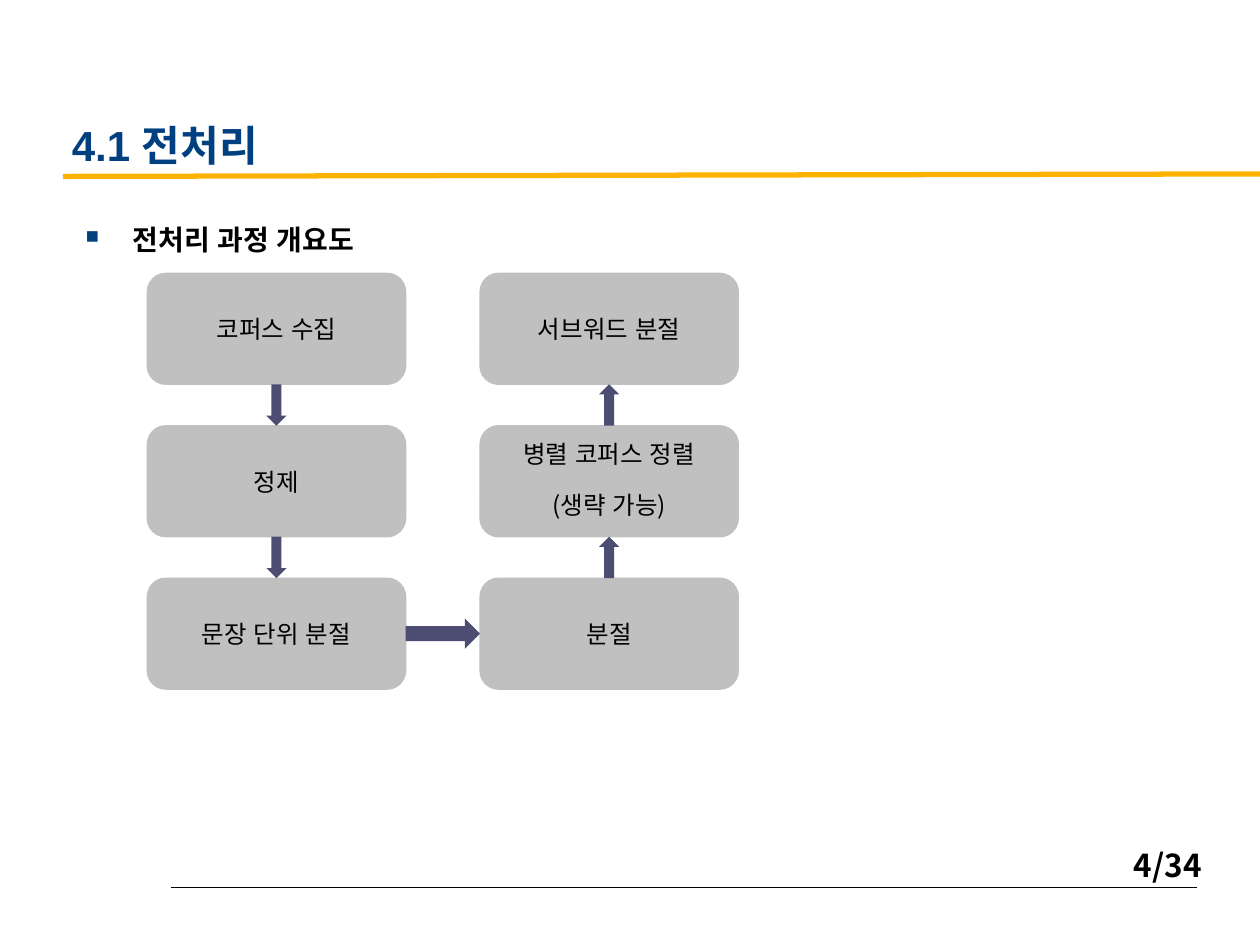
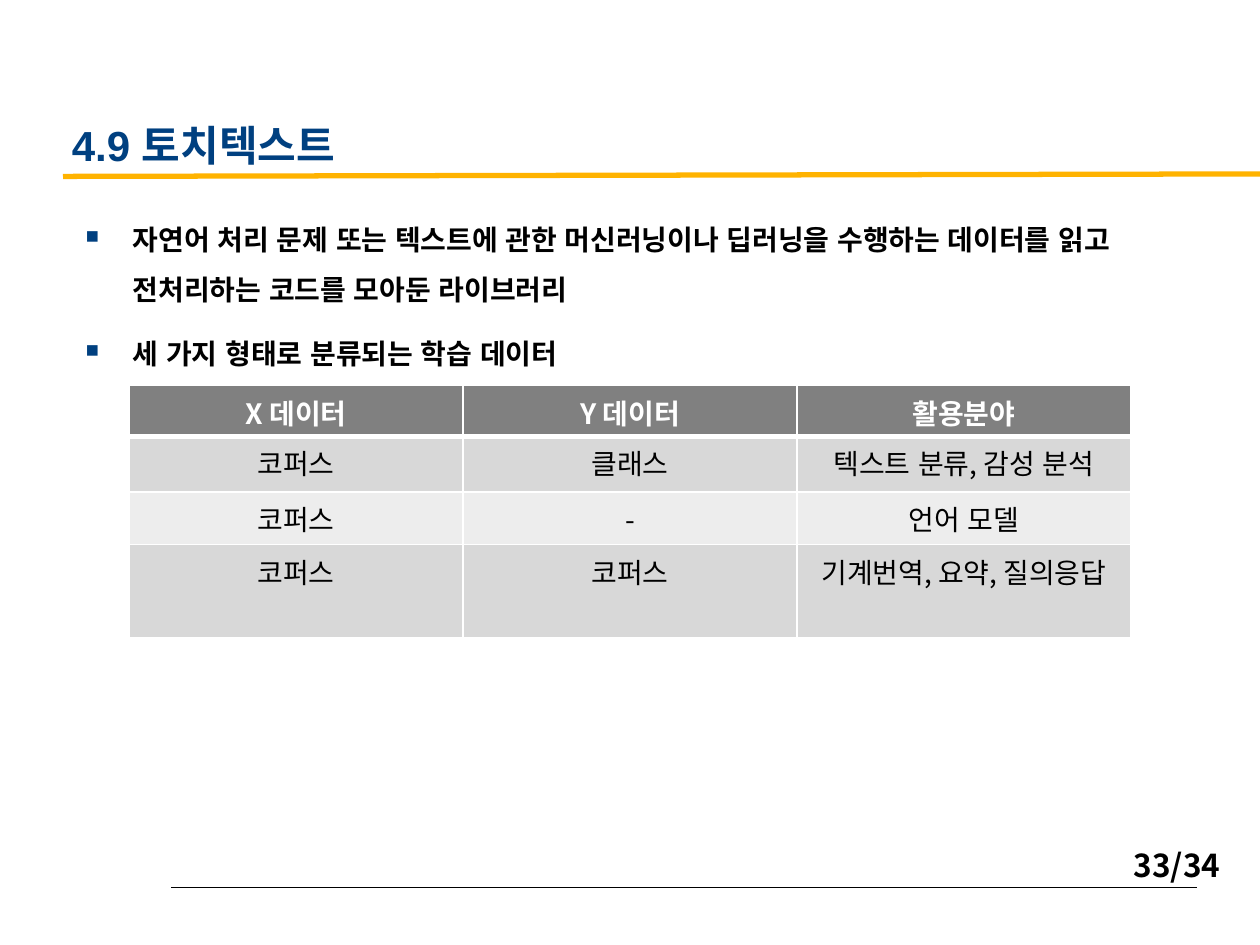
from itertools import pairwise

from pptx import Presentation
from pptx.dml.color import RGBColor
from pptx.enum import lang, shapes, text
from pptx.oxml import ns, xmlchemy
from pptx.util import Pt

COLORS = {
    "title": "004080", "rule": "FFB300", "ink": "000000", "white": "FFFFFF",
    "step": "C0C0C0", "arrow": "4D4D73",
    "head": "808080", "odd_row": "D8D8D8", "even_row": "EDEDED",
}
LATIN, KOREAN = "Arial", "Noto Sans CJK KR"
PAGE_COUNT = 34


def rgb(name):
    return RGBColor.from_string(COLORS[name])


def add_xml(parent, tag, **attributes):
    child = xmlchemy.OxmlElement(tag)
    for key, value in attributes.items():
        child.set(key, str(value))
    parent.append(child)
    return child


def add_span(para, words, size, color="ink", bold=False, font=KOREAN):
    span = para.add_run()
    span.text = words
    span.font.size, span.font.bold, span.font.name = Pt(size), bold, font
    span.font.color.rgb = rgb(color)
    span.font.language_id = lang.MSO_LANGUAGE_ID.KOREAN
    # Hangul takes its typeface from the East Asian slot
    latin = span.font._element.find(ns.qn("a:latin"))
    east = xmlchemy.OxmlElement("a:ea")
    east.set("typeface", KOREAN)
    latin.addnext(east)


def set_spacing(para, line=None, before=None, after=None):
    """Line spacing as a factor, paragraph gaps in percent of a line."""
    if line:
        para.line_spacing = line
    props = para._p.get_or_add_pPr()
    for tag, percent in (("a:spcBef", before), ("a:spcAft", after)):
        if percent:
            add_xml(add_xml(props, tag), "a:spcPct", val=percent * 1000)


def add_paras(frame, lines):
    """Yield one paragraph for each line, starting with the existing one."""
    for index, words in enumerate(lines):
        yield (frame.add_paragraph() if index else frame.paragraphs[0]), words


def add_rule(page, start, end, color, width):
    rule = page.shapes.add_connector(
        shapes.MSO_CONNECTOR.STRAIGHT, *(Pt(v) for v in (*start, *end)))
    rule.line.color.rgb, rule.line.width = rgb(color), Pt(width)
    add_xml(rule._element.spPr, "a:effectLst")


def add_text_box(page, box):
    frame = page.shapes.add_textbox(*(Pt(v) for v in box)).text_frame
    frame.word_wrap = True
    return frame


# Shared frame: title, gold rule, footer line and page number
def add_page(deck, title, number):
    page = deck.slides.add_slide(deck.slide_layouts[5])
    add_rule(page, (98, 507), (684, 507), "ink", 0.75)
    add_rule(page, (36, 100.8), (720, 99.4), "rule", 3)

    footer = add_text_box(page, (640.8, 480.2, 79.2, 28.8))
    add_span(footer.paragraphs[0], f"{number}/{PAGE_COUNT}", 18, bold=True)

    holder = page.shapes.title
    holder.left, holder.top, holder.width, holder.height = (
        Pt(v) for v in (33.84, 57.6, 592.56, 43.2))
    frame = holder.text_frame
    frame.vertical_anchor = text.MSO_ANCHOR.BOTTOM
    frame.auto_size = text.MSO_AUTO_SIZE.NONE
    frame.paragraphs[0].alignment = text.PP_ALIGN.LEFT
    add_span(frame.paragraphs[0], title, 24, "title", True, LATIN)
    return page


# Square-bulleted body text
def add_bullets(page, box, lines):
    for para, words in add_paras(add_text_box(page, box), lines):
        set_spacing(para, line=1.5, before=50)
        props = para._p.get_or_add_pPr()
        props.set("marL", str(Pt(27)))
        props.set("indent", str(Pt(-27)))
        add_xml(add_xml(props, "a:buClr"), "a:srgbClr", val=COLORS["title"])
        add_xml(props, "a:buSzPct", val=65000)
        add_xml(props, "a:buChar", char="■")
        add_span(para, words, 16, bold=True)


def add_step(page, box, lines):
    step = page.shapes.add_shape(
        shapes.MSO_SHAPE.ROUNDED_RECTANGLE, *(Pt(v) for v in box))
    step.shadow.inherit = False
    step.fill.solid()
    step.fill.fore_color.rgb = step.line.color.rgb = rgb("step")
    step.line.width = Pt(0.75)
    frame = step.text_frame
    frame.vertical_anchor = text.MSO_ANCHOR.MIDDLE
    for para, words in add_paras(frame, lines):
        para.alignment = text.PP_ALIGN.CENTER
        set_spacing(para, 0.9 if len(lines) > 1 else None, 50, 50)
        add_span(para, words, 14)


def add_arrow(page, kind, box):
    arrow = page.shapes.add_shape(kind, *(Pt(v) for v in box))
    arrow.shadow.inherit = False
    arrow.fill.solid()
    arrow.fill.fore_color.rgb = rgb("arrow")
    arrow.line.fill.background()


# Flow that runs down the first column and up the second
def add_flow(page, box, steps):
    left, top, width, height = box
    step_width, step_height, rows = 147.6, 63.4, len(steps) // 2
    column_pitch = width - step_width
    row_pitch = (height - step_height) / (rows - 1)
    column_gap, row_gap = column_pitch - step_width, row_pitch - step_height

    spots = [(0, row) for row in range(rows)]
    spots += [(1, row) for row in reversed(range(rows))]
    corners = [(left + column * column_pitch, top + row * row_pitch)
               for column, row in spots]
    for (x, y), lines in zip(corners, steps):
        add_step(page, (x, y, step_width, step_height), lines)

    thin, thick = 11.5, 17.3
    for (x, y), (next_x, next_y) in pairwise(corners):
        if next_x > x:
            add_arrow(page, shapes.MSO_SHAPE.RIGHT_ARROW,
                      (x + step_width, y + (step_height - thick) / 2, column_gap, thick))
        else:
            kind = shapes.MSO_SHAPE.DOWN_ARROW if next_y > y else shapes.MSO_SHAPE.UP_ARROW
            add_arrow(page, kind, (x + (step_width - thin) / 2,
                                   min(y, next_y) + step_height, thin, row_gap))


def set_borders(cell, widths):
    props = cell._tc.get_or_add_tcPr()
    for index, (side, width) in enumerate(widths.items()):
        edge = xmlchemy.OxmlElement(f"a:ln{side}")
        edge.set("w", str(Pt(width)))
        add_xml(add_xml(edge, "a:solidFill"), "a:srgbClr", val=COLORS["white"])
        props.insert(index, edge)


# Banded table with a dark head row
def add_data_table(page, box, heights, rows):
    table = page.shapes.add_table(
        len(rows), len(rows[0]), *(Pt(v) for v in box)).table
    for column in table.columns:
        column.width = Pt(box[2] / len(rows[0]))
    for index, (height, row) in enumerate(zip(heights, rows)):
        table.rows[index].height = Pt(height)
        head = index == 0
        fill = "head" if head else "odd_row" if index % 2 else "even_row"
        for cell, words in zip(table.rows[index].cells, row):
            cell.fill.solid()
            cell.fill.fore_color.rgb = rgb(fill)
            set_borders(cell, {"L": 1, "R": 1, "T": 3 if index == 1 else 1,
                               "B": 3 if head else 1})
            para = cell.text_frame.paragraphs[0]
            para.alignment = text.PP_ALIGN.CENTER
            add_span(para, words, 16, "white" if head else "ink", head)


def build_preprocessing(deck):
    page = add_page(deck, "4.1 전처리", 4)
    add_bullets(page, (41.8, 113.8, 656.6, 354.2), ["전처리 과정 개요도"])
    add_flow(page, (84.2, 156.2, 337.7, 237.6), [
        ["코퍼스 수집"], ["정제"], ["문장 단위 분절"],
        ["분절"], ["병렬 코퍼스 정렬", "(생략 가능)"], ["서브워드 분절"],
    ])


def build_torchtext(deck):
    page = add_page(deck, "4.9 토치텍스트", 33)
    add_bullets(page, (41.8, 113.8, 656.6, 326.9), [
        "자연어 처리 문제 또는 텍스트에 관한 머신러닝이나 딥러닝을 수행하는 "
        "데이터를 읽고 전처리하는 코드를 모아둔 라이브러리",
        "세 가지 형태로 분류되는 학습 데이터",
    ])
    heights = [29, 32, 30, 53]
    add_data_table(page, (73.8, 220.3, 572.4, sum(heights)), heights, [
        ["X 데이터", "Y 데이터", "활용분야"],
        ["코퍼스", "클래스", "텍스트 분류, 감성 분석"],
        ["코퍼스", "-", "언어 모델"],
        ["코퍼스", "코퍼스", "기계번역, 요약, 질의응답"],
    ])


def main():
    deck = Presentation()
    deck.slide_width, deck.slide_height = Pt(720), Pt(540)
    build_preprocessing(deck)
    build_torchtext(deck)
    deck.save("out.pptx")


if __name__ == "__main__":
    main()
